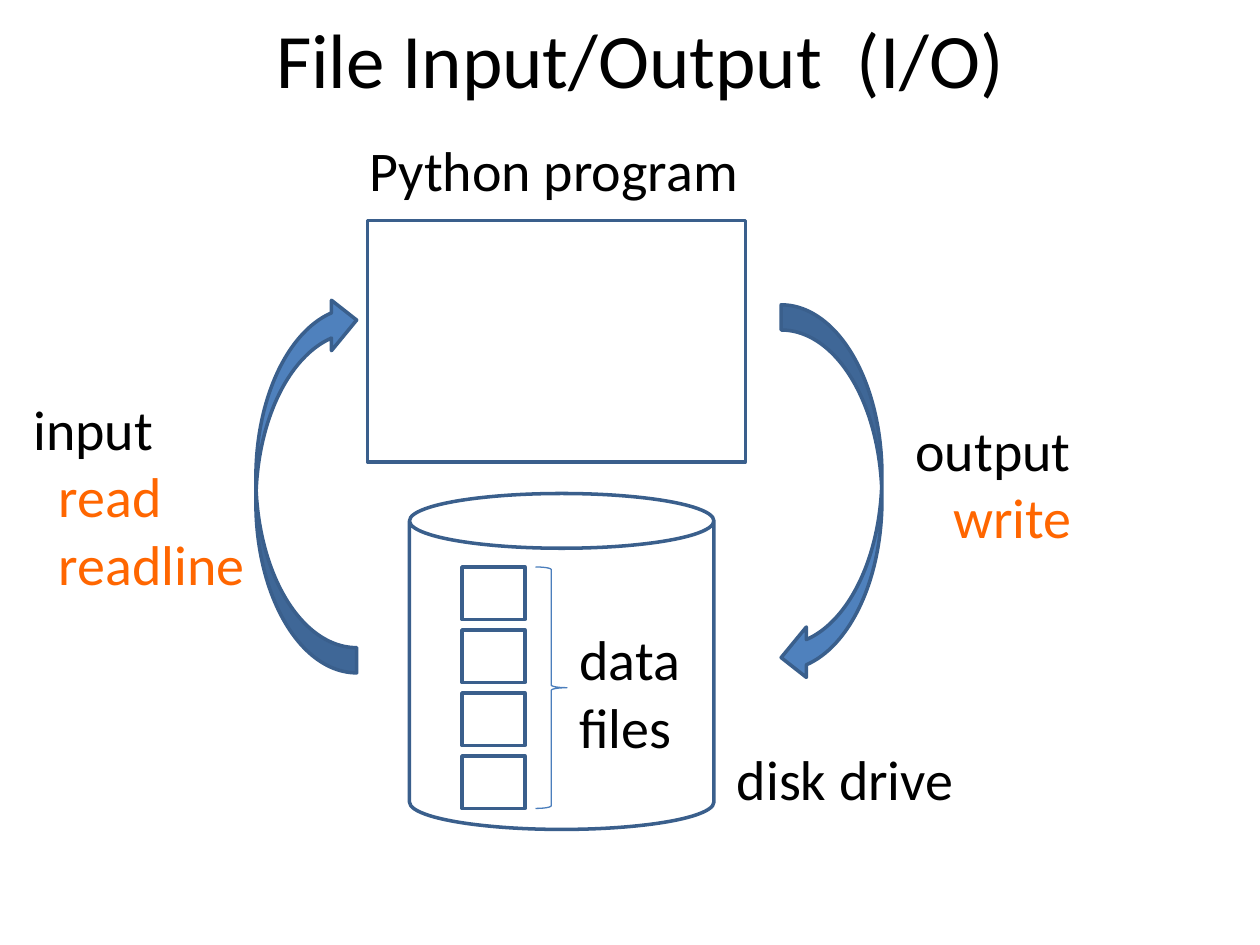
"""Build the File Input/Output slide."""
from pptx import Presentation
from pptx.dml.color import RGBColor
from pptx.enum.shapes import MSO_SHAPE
from pptx.enum.text import MSO_ANCHOR, MSO_AUTO_SIZE, PP_ALIGN
from pptx.util import Pt

RECT, CAN = MSO_SHAPE.RECTANGLE, MSO_SHAPE.CAN
BRACE, ARROW = MSO_SHAPE.RIGHT_BRACE, MSO_SHAPE.CURVED_LEFT_ARROW
MIDDLE, CENTER = MSO_ANCHOR.MIDDLE, PP_ALIGN.CENTER
FIT = MSO_AUTO_SIZE.SHAPE_TO_FIT_TEXT

BLACK = RGBColor(0x00, 0x00, 0x00)
ORANGE = RGBColor(0xFF, 0x66, 0x00)
BLUE = RGBColor(0x4F, 0x81, 0xBD)
OUTLINE = RGBColor(0x3A, 0x5F, 0x8C)
BRACE_BLUE = RGBColor(0x4B, 0x7E, 0xBC)
FONT = "Calibri"

TITLE = ("File Input/Output  (I/O)", (42, 0, 648, 66))
DISK = (234, 282, 174, 192)
PROGRAM = (210, 126, 216, 138)
FILE_COUNT, FILE_STEP = 4, 36
FIRST_FILE = (264, 324, 36, 30)
FILES_BRACE = (306, 324, 18, 138)
ARROWS = [((146.2, 168.5, 57.6, 216), 180), ((446.4, 174.2, 57.6, 216), 0)]
LABELS = [
    ("disk drive", [], 0, (414, 422, 139.7, 46), False),
    ("data files", [], 0, (324, 353.5, 78, 85), True),
    ("Python program", [], 0, (204, 74, 227.5, 46), False),
    ("input", ["read", "readline"], 14.5, (12, 222, 136.8, 123.8), False),
    ("output", ["write"], 21.7, (516, 234, 104.4, 85), False),
]


def add_shape(slide, kind, box, line=OUTLINE, width=2, fill=None):
    sp = slide.shapes.add_shape(kind, *map(Pt, box))
    sp.shadow.inherit = False
    if fill is None:
        sp.fill.background()
    else:
        sp.fill.solid()
        sp.fill.fore_color.rgb = fill
    sp.line.color.rgb = line
    sp.line.width = Pt(width)
    return sp


def add_text(slide, lines, box, size, wrap):
    tf = slide.shapes.add_textbox(*map(Pt, box)).text_frame
    tf.text = "\n".join(lines)
    tf.word_wrap = wrap
    for p in tf.paragraphs:
        for r in p.runs:
            r.font.name = FONT
            r.font.size = Pt(size)
            r.font.color.rgb = BLACK
    return tf


def add_label(slide, heading, methods, indent, box, wrap):
    tf = add_text(slide, [heading, *methods], box, 32, wrap)
    tf.auto_size = FIT
    for p in tf.paragraphs[1:]:
        p._p.get_or_add_pPr().set("marL", str(Pt(indent)))
        p.runs[0].font.color.rgb = ORANGE


def main():
    prs = Presentation()
    prs.slide_width, prs.slide_height = Pt(720), Pt(540)
    slide = prs.slides.add_slide(prs.slide_layouts[6])

    title, box = TITLE
    tf = add_text(slide, [title], box, 44, True)
    tf.vertical_anchor = MIDDLE
    tf.paragraphs[0].alignment = CENTER

    add_shape(slide, CAN, DISK).adjustments[0] = 0.18
    left, top, width, height = FIRST_FILE
    for i in range(FILE_COUNT):
        add_shape(slide, RECT, (left, top + i * FILE_STEP, width, height))
    add_shape(slide, BRACE, FILES_BRACE, BRACE_BLUE, 0.75)
    add_shape(slide, RECT, PROGRAM)

    for box, rotation in ARROWS:
        add_shape(slide, ARROW, box, fill=BLUE).rotation = rotation
    for label in LABELS:
        add_label(slide, *label)

    prs.save("out.pptx")


if __name__ == "__main__":
    main()
